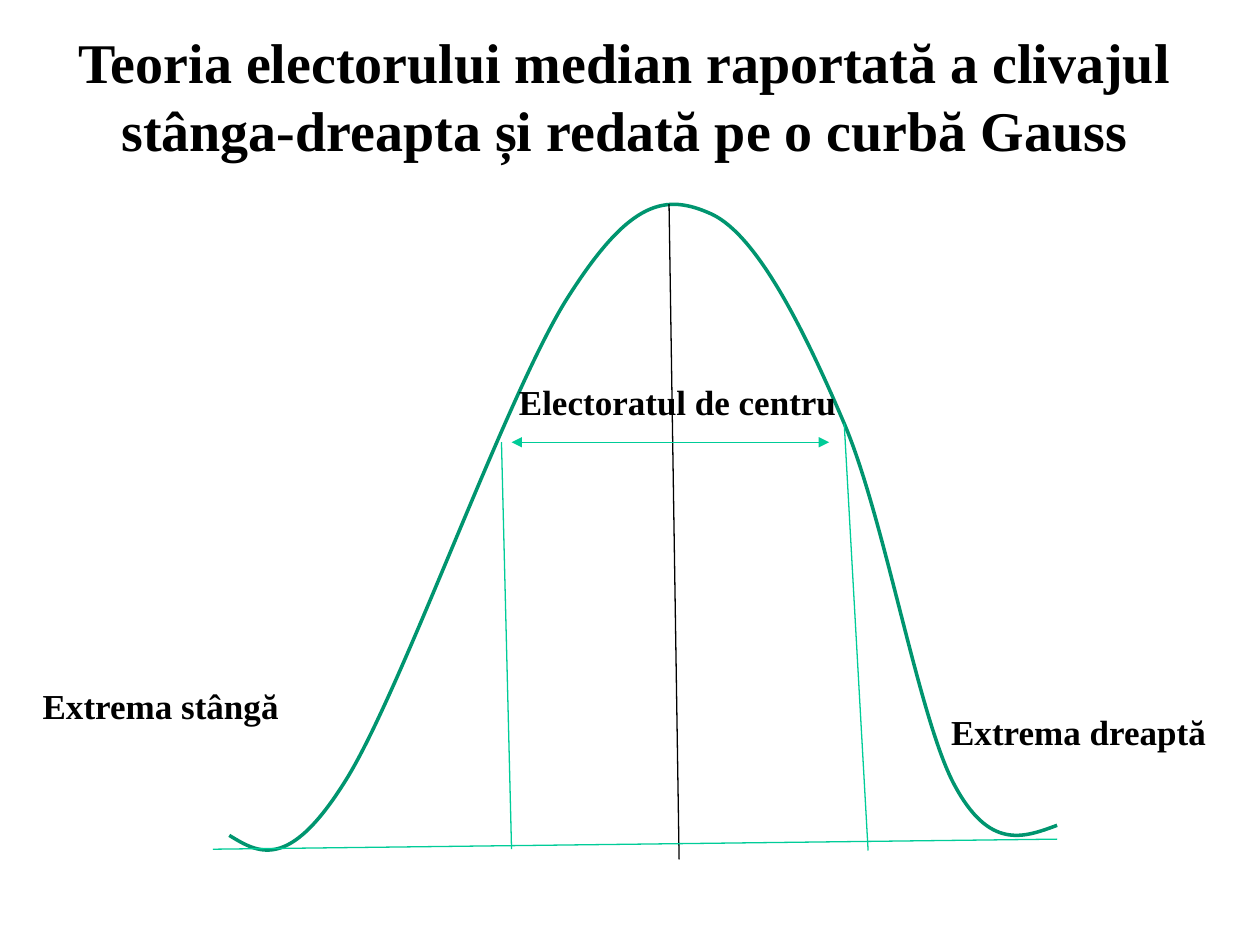
from dataclasses import dataclass

from lxml import etree
from pptx import Presentation
from pptx.dml.color import RGBColor
from pptx.enum.shapes import MSO_CONNECTOR
from pptx.enum.text import MSO_ANCHOR, MSO_AUTO_SIZE, PP_ALIGN
from pptx.oxml.ns import qn
from pptx.util import Inches, Pt

STRAIGHT = MSO_CONNECTOR.STRAIGHT
LEFT, CENTER = PP_ALIGN.LEFT, PP_ALIGN.CENTER
TOP, MIDDLE = MSO_ANCHOR.TOP, MSO_ANCHOR.MIDDLE
FIT_SHAPE = MSO_AUTO_SIZE.SHAPE_TO_FIT_TEXT
BLANK_LAYOUT = 6


@dataclass(frozen=True)
class Theme:
    font: str = "Times New Roman"
    text: RGBColor = RGBColor(0x00, 0x00, 0x00)
    curve: RGBColor = RGBColor(0x00, 0x95, 0x6F)
    guide: RGBColor = RGBColor(0x00, 0xCC, 0x98)
    title_size: Pt = Pt(32)
    label_size: Pt = Pt(20)
    curve_width: Pt = Pt(2)
    guide_width: Pt = Pt(0.75)


THEME = Theme()

CURVE_FRAME = (1.82, 1.62, 6.57, 5.12)
CURVE_START = (1.82, 6.63)
# Each Bézier segment: two control points and an end point.
CURVE_SEGMENTS = [
    ((2.05, 6.77), (2.29, 6.92), (2.74, 6.20)),
    ((3.19, 5.49), (4.03, 3.09), (4.52, 2.34)),
    ((5.00, 1.59), (5.28, 1.53), (5.65, 1.70)),
    ((6.01, 1.87), (6.38, 2.61), (6.70, 3.36)),
    ((7.02, 4.11), (7.29, 5.69), (7.57, 6.22)),
    ((7.85, 6.75), (8.12, 6.65), (8.39, 6.55)),
]

GUIDES = [
    ((3.98, 3.51), (4.06, 6.74), THEME.guide),
    ((6.70, 3.36), (6.89, 6.75), THEME.guide),
    ((5.31, 1.62), (5.39, 6.82), THEME.text),
    ((1.69, 6.74), (8.39, 6.66), THEME.guide),
]


def add_text(slide, text, left, top, width, height, size, align=LEFT, anchor=TOP):
    box = slide.shapes.add_textbox(
        Inches(left), Inches(top), Inches(width), Inches(height))
    frame = box.text_frame
    frame.word_wrap = True
    frame.vertical_anchor = anchor
    para = frame.paragraphs[0]
    para.alignment = align
    span = para.add_run()
    span.text = text
    span.font.name = THEME.font
    span.font.size = size
    span.font.bold = True
    span.font.color.rgb = THEME.text
    return box


def add_label(slide, text, left, top, width):
    box = add_text(slide, text, left, top, width, 0.44, THEME.label_size)
    box.text_frame.auto_size = FIT_SHAPE


def add_line(slide, start, end, color, arrows=False):
    line = slide.shapes.add_connector(
        STRAIGHT, *(Inches(value) for value in (*start, *end)))
    line.line.color.rgb = color
    line.line.width = THEME.guide_width
    properties = line._element.spPr
    if arrows:
        outline = properties.find(qn("a:ln"))
        for tag in ("a:headEnd", "a:tailEnd"):
            etree.SubElement(outline, qn(tag), type="triangle")
    etree.SubElement(properties, qn("a:effectLst"))


def draw_beziers(shape, start, segments):
    """Replace the outline of a freeform by joined cubic Bézier segments."""
    outline = next(shape._element.iter(qn("a:path")))
    for step in list(outline):
        outline.remove(step)
    outline.set("w", str(shape.width))
    outline.set("h", str(shape.height))
    steps = [("a:moveTo", [start])]
    steps += [("a:cubicBezTo", segment) for segment in segments]
    for tag, points in steps:
        step = etree.SubElement(outline, qn(tag))
        for x, y in points:
            etree.SubElement(step, qn("a:pt"),
                             x=str(Inches(x) - shape.left),
                             y=str(Inches(y) - shape.top))


def add_bell_curve(slide):
    builder = slide.shapes.build_freeform(*map(Inches, CURVE_START))
    ends = [tuple(map(Inches, segment[-1])) for segment in CURVE_SEGMENTS]
    builder.add_line_segments(ends, close=False)
    curve = builder.convert_to_shape()
    curve.left, curve.top, curve.width, curve.height = map(Inches, CURVE_FRAME)
    draw_beziers(curve, CURVE_START, CURVE_SEGMENTS)
    curve.shadow.inherit = False
    curve.fill.background()
    curve.line.color.rgb = THEME.curve
    curve.line.width = THEME.curve_width


def main():
    deck = Presentation()
    deck.slide_width, deck.slide_height = Inches(10), Inches(7.5)
    page = deck.slides.add_slide(deck.slide_layouts[BLANK_LAYOUT])

    add_text(page, "Teoria electorului median raportată a clivajul "
             "stânga-dreapta și redată pe o curbă Gauss",
             -0.04, 0.13, 10, 1.25, THEME.title_size, CENTER, MIDDLE)
    add_bell_curve(page)
    for start, end, color in GUIDES:
        add_line(page, start, end, color)
    add_label(page, "Extrema stângă", 0.24, 5.38, 2.13)
    add_label(page, "Extrema dreaptă", 7.45, 5.59, 2.51)
    add_line(page, (4.06, 3.51), (6.58, 3.51), THEME.guide, arrows=True)
    add_label(page, "Electoratul de centru", 4.02, 2.97, 3.18)

    deck.save("out.pptx")


if __name__ == "__main__":
    main()
